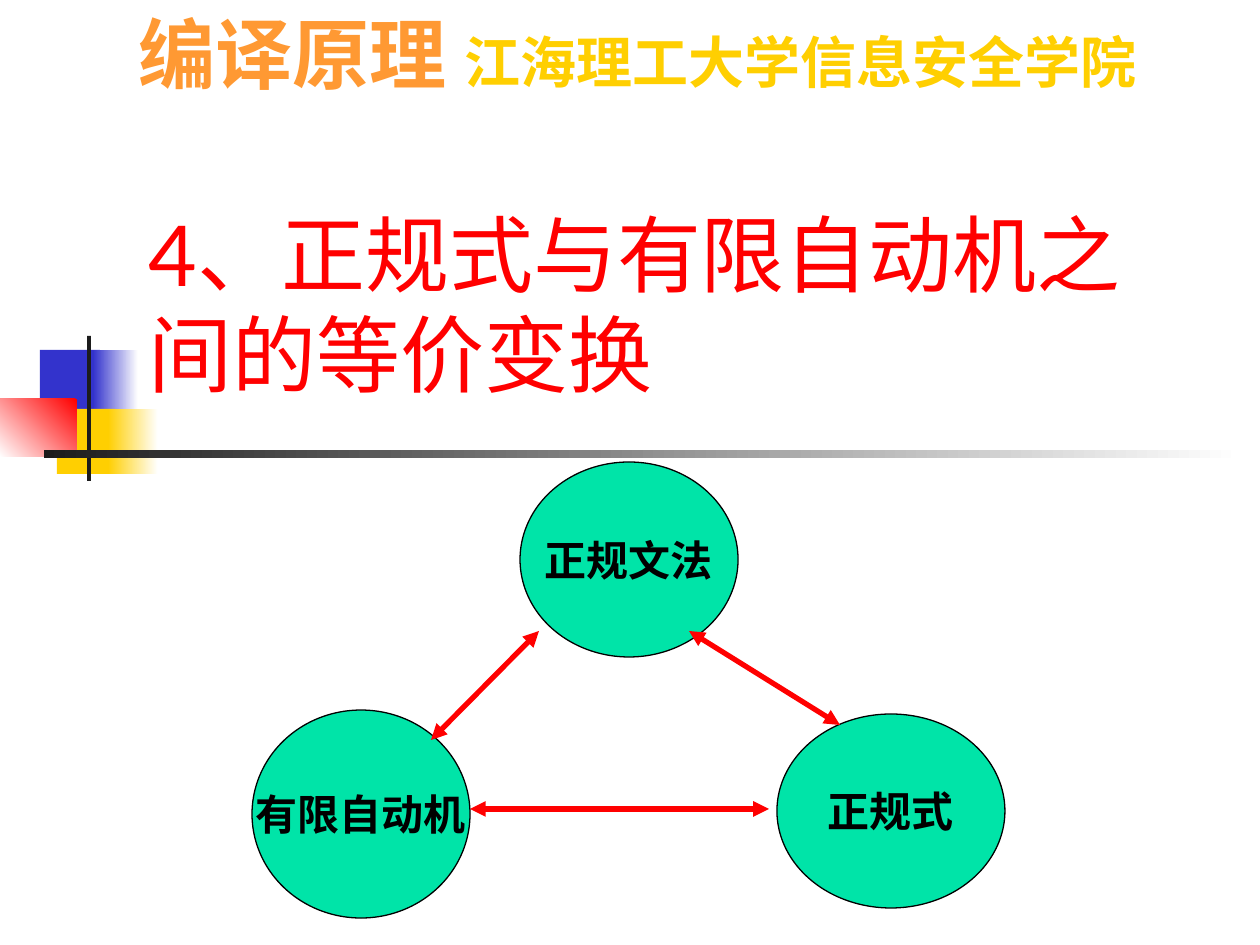
from pptx import Presentation
from pptx.dml.color import RGBColor
from pptx.enum.shapes import MSO_CONNECTOR, MSO_SHAPE
from pptx.enum.text import MSO_ANCHOR, PP_ALIGN
from pptx.oxml.ns import qn
from pptx.util import Emu, Pt
from lxml import etree

SCALE = 914400 / 126  # EMU per px


def px(*lengths):
    return [Emu(round(n * SCALE)) for n in lengths]


def add_run(p, text, size, color, bold=False):
    r = p.add_run()
    r.text = text
    r.font.size = Pt(size)
    r.font.name = "Lato"
    r.font.bold = bold
    r.font.color.rgb = RGBColor.from_string(color)


prs = Presentation()
prs.slide_width, prs.slide_height = px(1260, 945)
s = prs.slides.add_slide(prs.slide_layouts[6])

# Corner ornament: one colour is solid, two colours fade (clockwise angle)
ornament = [
    ((40, 350, 60, 66), ["3333CC"], 0),
    ((93, 350, 45, 66), ["FFFFFF", "3333CC"], 180),
    ((57, 409, 58, 65), ["FFCF01"], 0),
    ((108, 409, 50, 65), ["FFFFFF", "FFCF01"], 180),
    ((0, 399, 77, 58), ["FF0000", "FFFFFF"], 135),
    ((87, 336, 4, 145), ["1C1C1C"], 0),
    ((44, 450, 1198, 8), ["FFFFFF", "1C1C1C"], 180),
]
for box, colors, angle in ornament:
    sp = s.shapes.add_shape(MSO_SHAPE.RECTANGLE, *px(*box))
    sp.shadow.inherit = False
    sp.line.fill.background()
    if len(colors) == 1:
        sp.fill.solid()
        sp.fill.fore_color.rgb = RGBColor.from_string(colors[0])
    else:
        sp.fill.gradient()
        sp.fill.gradient_angle = 360 - angle
        for stop, color in zip(sp.fill.gradient_stops, colors):
            stop.color.rgb = RGBColor.from_string(color)

# Course header and slide title
texts = [
    ((126, 0, 1134, 106), MSO_ANCHOR.TOP,
     [("编译原理 ", 44, "FF9933", True),
      ("江海理工大学信息安全学院", 32, "FFCF01", True)]),
    ((136, 252, 1071, 158), MSO_ANCHOR.BOTTOM,
     [("4、正规式与有限自动机之间的等价变换", 48, "FF0000", False)]),
]
for box, anchor, runs in texts:
    tf = s.shapes.add_textbox(*px(*box)).text_frame
    tf.word_wrap = True
    tf.vertical_anchor = anchor
    for run in runs:
        add_run(tf.paragraphs[0], *run)

# Three equivalent notions
nodes = [
    ("正规文法", (520, 462, 218, 195)),
    ("正规式", (777, 714, 228, 194)),
    ("有限自动机", (252, 710, 218, 208)),
]
for label, box in nodes:
    sp = s.shapes.add_shape(MSO_SHAPE.OVAL, *px(*box))
    sp.shadow.inherit = False
    sp.fill.solid()
    sp.fill.fore_color.rgb = RGBColor.from_string("00E4A8")
    sp.line.color.rgb = RGBColor.from_string("000000")
    sp.line.width = Pt(0.75)
    tf = sp.text_frame
    tf.word_wrap = False
    tf.vertical_anchor = MSO_ANCHOR.MIDDLE
    p = tf.paragraphs[0]
    p.alignment = PP_ALIGN.CENTER
    add_run(p, label, 24, "000000", True)

# Two-way arrows
arrows = [(539, 631, 431, 740), (470, 809, 769, 809), (689, 631, 840, 725)]
for ends in arrows:
    c = s.shapes.add_connector(MSO_CONNECTOR.STRAIGHT, *px(*ends))
    c.line.color.rgb = RGBColor.from_string("FF0000")
    c.line.width = Pt(3)
    ln = c.line._get_or_add_ln()
    for tag in ("a:headEnd", "a:tailEnd"):
        etree.SubElement(ln, qn(tag), type="triangle")
    etree.SubElement(c._element.spPr, qn("a:effectLst"))

prs.save("out.pptx")
